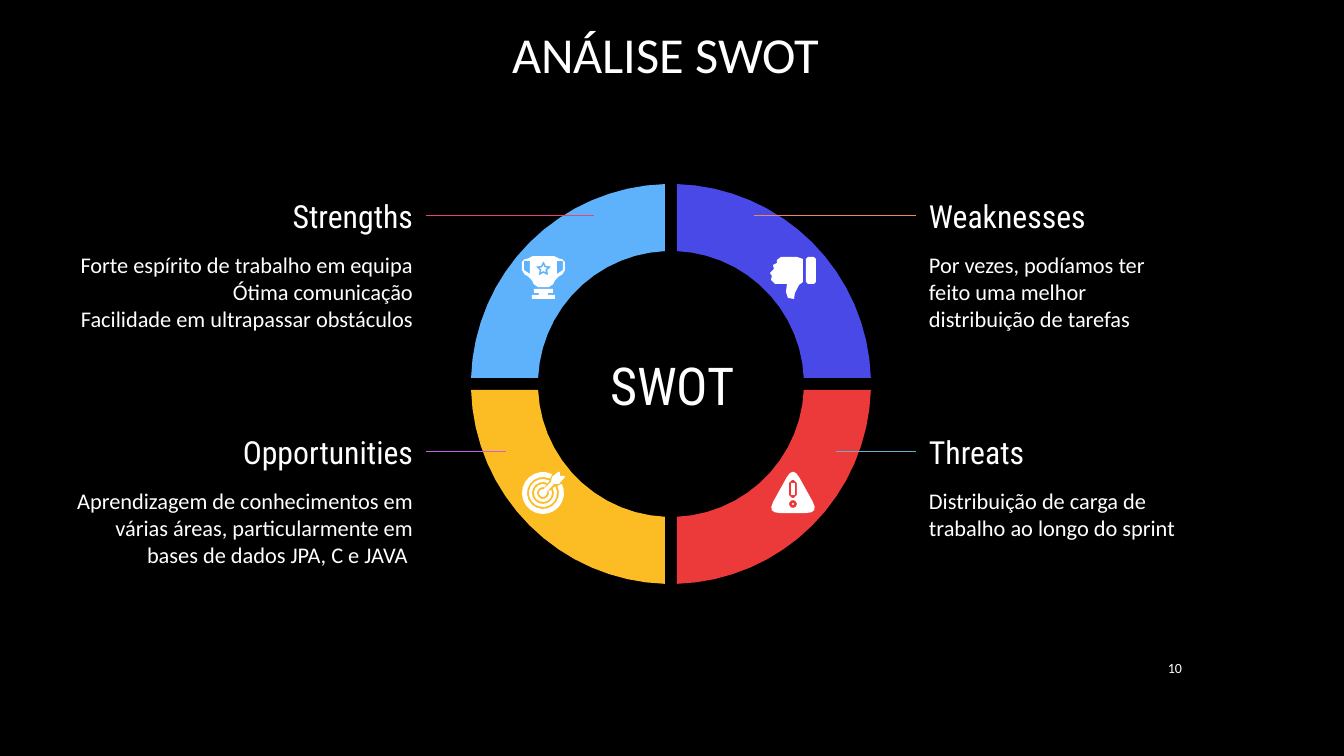
import math

from lxml import etree
from pptx import Presentation
from pptx import util as u
from pptx.dml.color import RGBColor
from pptx.enum import shapes, text
from pptx.oxml import ns

COLOURS = {
    "black": "000000", "white": "FFFFFF",
    "blue": "5EB2FC", "indigo": "4949E7", "yellow": "FCBD24", "red": "EC3A3B",
    "pink": "E84574", "orange": "EE875A", "purple": "C363E8", "teal": "6AADC8",
}
LEFT, CENTER, RIGHT = text.PP_ALIGN.LEFT, text.PP_ALIGN.CENTER, text.PP_ALIGN.RIGHT
TOP, MIDDLE = text.MSO_ANCHOR.TOP, text.MSO_ANCHOR.MIDDLE
BODY, DISPLAY = "Calibri", "Roboto Condensed"
RING_CENTER = (671, 384)


def arc(center, radius, start, end):
    widest = 2 * math.degrees(math.acos(1 - 0.25 / radius))
    steps = math.ceil(abs(end - start) / widest)
    angles = [math.radians(start + (end - start) * i / steps) for i in range(steps + 1)]
    return [(center[0] + radius * math.cos(a), center[1] + radius * math.sin(a)) for a in angles]


def band(center, outer, inner, start, end, gap=0):
    trim_out, trim_in = (math.degrees(math.asin(gap / r)) for r in (outer, inner))
    return (arc(center, outer, start + trim_out, end - trim_out)
            + arc(center, inner, end - trim_in, start + trim_in))


def rounded(points, radius):
    result = []
    for i, corner in enumerate(points):
        ends = []
        for other in (points[i - 1], points[(i + 1) % len(points)]):
            share = min(radius / math.dist(corner, other), 0.5)
            ends.append([c + (o - c) * share for c, o in zip(corner, other)])
        for t in (0, 1) if radius < 4 else (0, 0.25, 0.5, 0.75, 1):
            result.append(tuple((1 - t) ** 2 * a + 2 * t * (1 - t) * c + t * t * b
                                for a, c, b in zip(ends[0], corner, ends[1])))
    return result


def mirrored(points, total):
    return points + [(total - x, y) for x, y in reversed(points)]


def rectangle(left, top, right, bottom):
    return [(left, top), (right, top), (right, bottom), (left, bottom)]


def star(center, outer, inner):
    return [(center[0] + r * math.sin(i * math.pi / 5), center[1] - r * math.cos(i * math.pi / 5))
            for i, r in enumerate([outer, inner] * 5)]


class SwotPage:
    scale = 12192000 / 1344

    def __init__(self):
        self.deck = Presentation()
        self.deck.slide_width, self.deck.slide_height = self.emu(1344), self.emu(756)
        self.page = self.deck.slides.add_slide(self.deck.slide_layouts[6])
        self.paint(self.page.background.fill, "black")

    def emu(self, px):
        return u.Emu(round(px * self.scale))

    def rgb(self, colour):
        return RGBColor.from_string(COLOURS[colour])

    def paint(self, fill, colour):
        fill.solid()
        fill.fore_color.rgb = self.rgb(colour)

    def label(self, area, lines, size, font, align=LEFT, anchor=MIDDLE, inset=13, top=13):
        box = self.page.shapes.add_textbox(*map(self.emu, area))
        frame = box.text_frame
        layout = {"word_wrap": True, "vertical_anchor": anchor,
                  "margin_left": self.emu(inset), "margin_right": self.emu(inset),
                  "margin_top": self.emu(top), "margin_bottom": self.emu(top)}
        for name, value in layout.items():
            setattr(frame, name, value)
        for i, line in enumerate(lines):
            para = frame.add_paragraph() if i else frame.paragraphs[0]
            para.alignment = align
            span = para.add_run()
            span.text = line
            for name, value in {"size": u.Pt(size), "name": font}.items():
                setattr(span.font, name, value)
            span.font.color.rgb = self.rgb("white")
        return box

    def outline(self, contours, colour):
        builder = None
        for contour in contours:
            first, *rest = [(self.emu(x), self.emu(y)) for x, y in contour]
            if builder is None:
                builder = self.page.shapes.build_freeform(*first, scale=1.0)
            else:
                builder.move_to(*first)
            builder.add_line_segments(rest, close=True)
        shape = builder.convert_to_shape()
        shape.shadow.inherit = False
        self.paint(shape.fill, colour)
        shape.line.fill.background()

    def leader(self, heading, side, start, end, y, colour):
        line = self.page.shapes.add_connector(
            shapes.MSO_CONNECTOR.STRAIGHT, *map(self.emu, (start, y, end, y)))
        line.begin_connect(heading, side)
        line.line.width = u.Pt(0.75)
        line.line.color.rgb = self.rgb(colour)
        etree.SubElement(line._element.spPr, ns.qn("a:effectLst"))

    def quarter(self, name, lines, angle, fill, stroke, tip, icon):
        on_left, on_top = 90 <= angle < 270, angle >= 180
        top = 184 if on_top else 420
        align, side = (RIGHT, 3) if on_left else (LEFT, 1)
        self.outline([band(RING_CENTER, 200, 133, angle, angle + 90, 6)], fill)
        heading = self.label((149 if on_left else 916, top, 277, 64), [name], 22.7, DISPLAY, align)
        body = (62, top + 51, 364, 113) if on_left else (916, top + 51, 277, 113)
        self.label(body, lines, 16, BODY, align, TOP, top=16)
        self.leader(heading, side, 426 if on_left else 916, tip, top + 32, stroke)
        for contours in icon:
            self.outline(contours, "white")


def trophy():
    total, middle = 1087, (543.5, 269)
    cup = mirrored([(535, 287), (531, 278), (522, 273), (522, 259), (530, 259), (530, 256)], total)
    handle = [(524, 261), (530, 261), (530, 274), (524, 270)]
    right_handle = [(total - x, y) for x, y in handle]
    foot = mirrored([(532, 299), (532, 295), (539, 295), (539, 293), (534, 293), (534, 289)], total)
    return [[rounded(cup, 3), handle, right_handle, star(middle, 8, 4)],
            [foot], [star(middle, 4, 2)]]


def thumb_down():
    hand = [(794, 299), (795, 293), (799, 285), (803, 282), (803, 259), (797, 257), (781, 257),
            (777, 260), (777, 263), (773, 265), (774, 269), (770, 273), (772, 276), (771, 280),
            (775, 284), (787, 284), (786, 292), (788, 298)]
    return [[rounded(rectangle(806, 257, 816, 284), 2)], [hand]]


def target():
    center = (543, 493)
    rings = [(21, 16, 26), (14, 11, 27), (9, 6, 20)]
    dart = [(558, 472), (552, 477), (551, 482), (542, 491), (545, 494), (554, 484),
            (559, 484), (565, 477), (564, 476), (560, 476), (560, 472)]
    return ([[band(center, outer, inner, -gap, gap + 270)] for outer, inner, gap in rings]
            + [[arc(center, 4, 0, 360)], [dart]])


def warning():
    dot = (793, 504)
    triangle = rounded([(793, 466), (819, 513), (767, 513)], 13)
    return [[triangle, rounded(rectangle(789, 480, 797, 498), 3), arc(dot, 4, 0, 360)],
            [rectangle(791, 483, 795, 495)], [arc(dot, 1, 0, 360)]]


def main():
    swot = SwotPage()
    swot.label((499, 18, 346, 71), ["ANÁLISE SWOT"], 36, BODY)
    swot.label((594, 343, 157, 84), ["SWOT"], 37.3, DISPLAY, CENTER)
    quarters = [
        ("Weaknesses", ["Por vezes, podíamos ter feito uma melhor distribuição de tarefas"],
         270, "indigo", "orange", 754, thumb_down()),
        ("Opportunities", ["Aprendizagem de conhecimentos em",
                           "várias áreas, particularmente em bases de dados JPA, C e JAVA "],
         90, "yellow", "purple", 506, target()),
        ("Strengths", ["Forte espírito de trabalho em equipa", "Ótima comunicação",
                       "Facilidade em ultrapassar obstáculos"],
         180, "blue", "pink", 594, trophy()),
        ("Threats", ["Distribuição de carga de trabalho ao longo do sprint"],
         0, "red", "teal", 836, warning()),
    ]
    for quarter in quarters:
        swot.quarter(*quarter)
    swot.label((1132, 647, 60, 41), ["10"], 10, BODY, RIGHT, inset=10, top=5)
    swot.deck.save("out.pptx")


if __name__ == "__main__":
    main()
